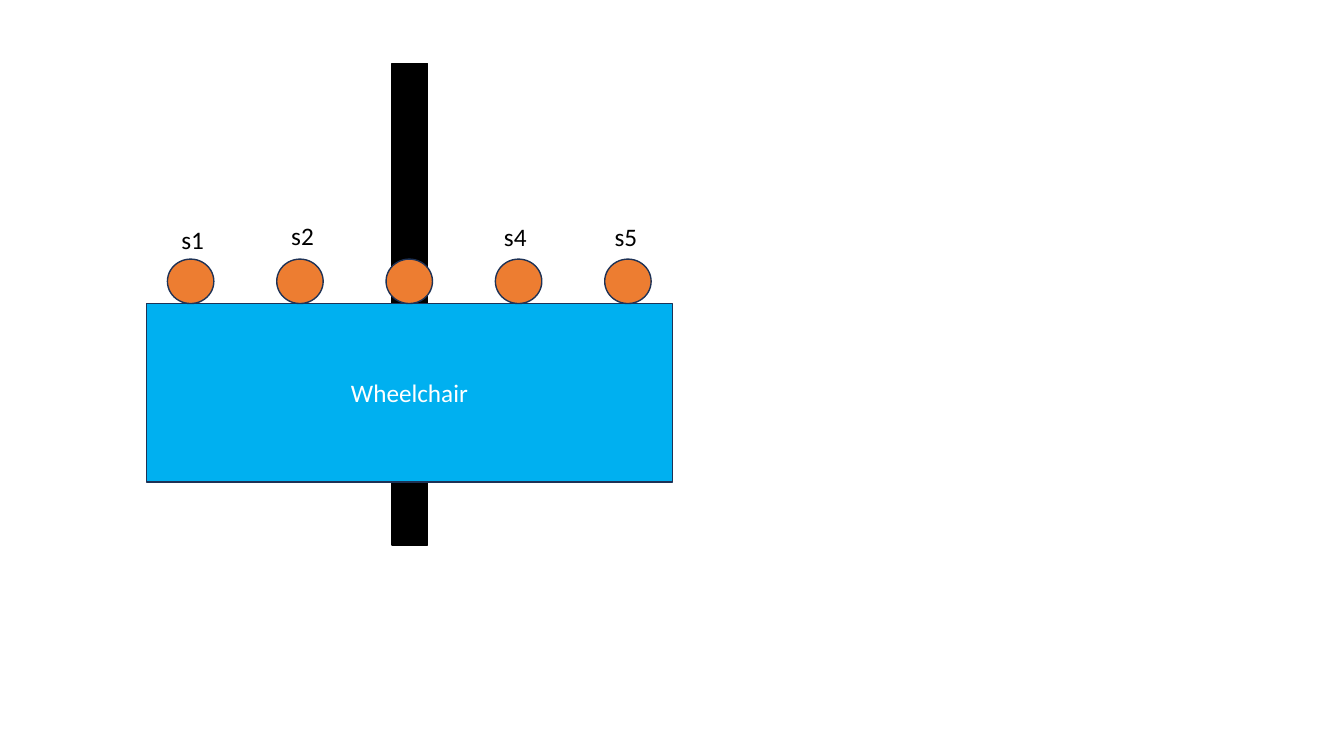
"""Build a slide showing a wheelchair with five line sensors over a black track."""
from pptx import Presentation
from pptx.dml.color import RGBColor
from pptx.enum.shapes import MSO_SHAPE
from pptx.enum.text import MSO_ANCHOR, MSO_AUTO_SIZE, PP_ALIGN
from pptx.util import Cm, Pt

RECT, OVAL = MSO_SHAPE.RECTANGLE, MSO_SHAPE.OVAL
MIDDLE, CENTER = MSO_ANCHOR.MIDDLE, PP_ALIGN.CENTER
FIT_SHAPE = MSO_AUTO_SIZE.SHAPE_TO_FIT_TEXT

COLORS = {
    "track": "000000",
    "chair": "00B0F0",
    "sensor": "ED7D31",
    "outline": "1E3256",
    "label": "000000",
    "chair_text": "FFFFFF",
}


def add_box(shapes, kind, left, top, width, height, fill, line):
    sp = shapes.add_shape(kind, Cm(left), Cm(top), Cm(width), Cm(height))
    sp.shadow.inherit = False
    sp.fill.solid()
    sp.fill.fore_color.rgb = RGBColor.from_string(COLORS[fill])
    sp.line.color.rgb = RGBColor.from_string(COLORS[line])
    sp.line.width = Pt(1)
    return sp


def set_text(tf, text, color):
    tf.text = text
    r = tf.paragraphs[0].runs[0]
    r.font.name = "Calibri"
    r.font.size = Pt(18)
    r.font.color.rgb = RGBColor.from_string(COLORS[color])


prs = Presentation()
prs.slide_width, prs.slide_height = Cm(33.87), Cm(19.05)
s = prs.slides.add_slide(prs.slide_layouts[6])

add_box(s.shapes, RECT, 9.88, 1.6, 0.9, 12.14, "track", "track")

robot = s.shapes.add_group_shape()
chair_top = 7.65
chair = add_box(robot.shapes, RECT, 3.69, chair_top, 13.26, 4.5, "chair", "outline")
tf = chair.text_frame
set_text(tf, "Wheelchair", "chair_text")
tf.vertical_anchor = MIDDLE
tf.paragraphs[0].alignment = CENTER

sensor_w, sensor_h, sensor_step = 1.17, 1.12, 2.755
for i in range(5):
    add_box(robot.shapes, OVAL, 4.22 + i * sensor_step, chair_top - sensor_h,
            sensor_w, sensor_h, "sensor", "outline")

labels = [
    ("s2", 7.09, 5.43, 1.42),
    ("s4", 12.45, 5.44, 2.13),
    ("s5", 15.24, 5.46, 1.42),
    ("s1", 4.32, 5.54, 1.6),
]
for text, left, top, width in labels:
    label = robot.shapes.add_textbox(Cm(left), Cm(top), Cm(width), Cm(1.03))
    tf = label.text_frame
    tf.word_wrap = True
    tf.auto_size = FIT_SHAPE
    set_text(tf, text, "label")

prs.save("out.pptx")
